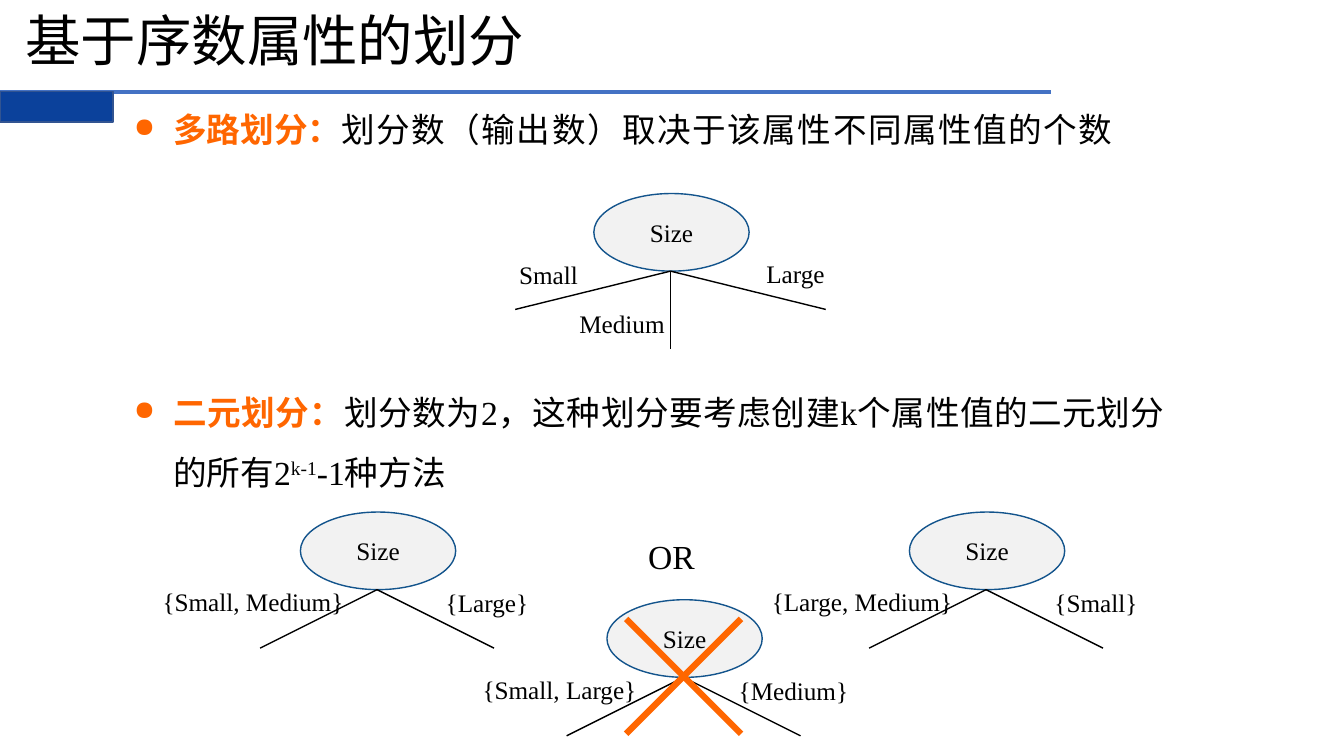
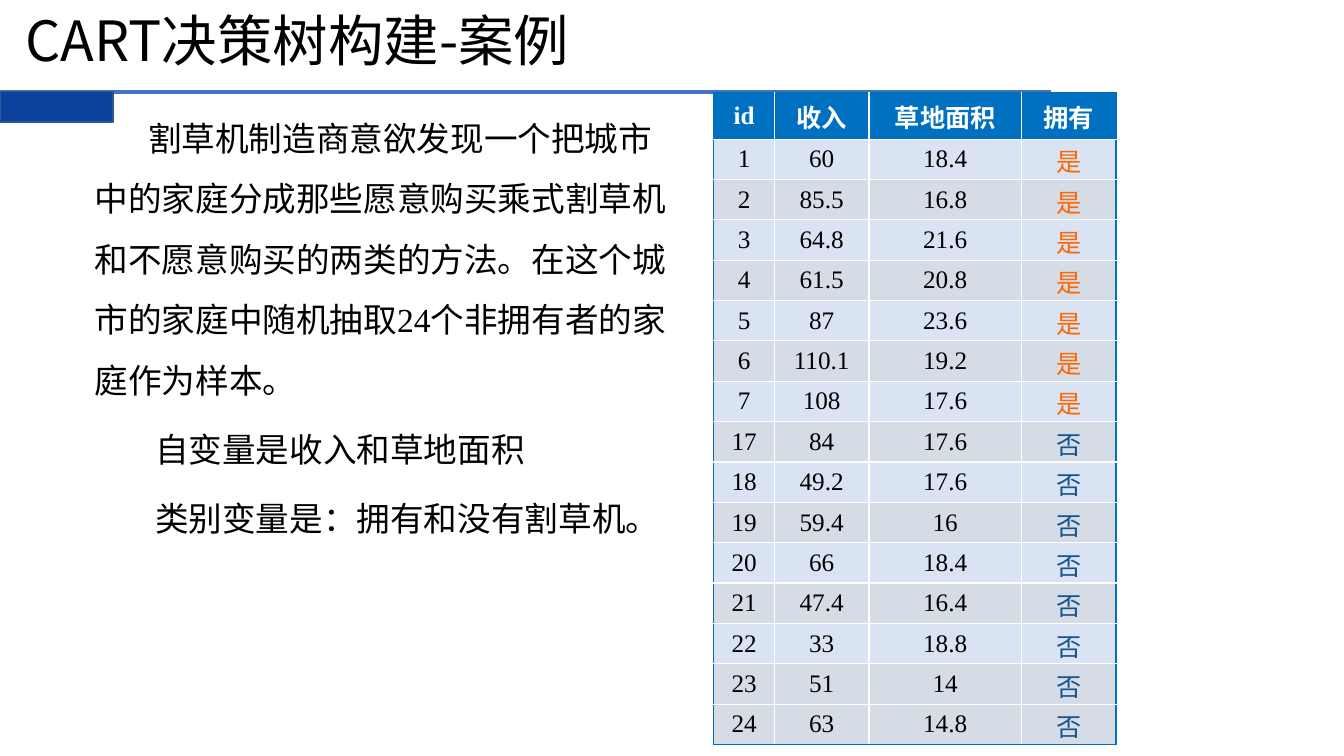
from dataclasses import dataclass

from lxml.etree import SubElement
from pptx import Presentation
from pptx.dml.color import RGBColor
from pptx.enum.shapes import MSO_CONNECTOR, MSO_SHAPE
from pptx.enum.text import MSO_ANCHOR, PP_ALIGN
from pptx.oxml.ns import qn
from pptx.util import Inches, Pt


@dataclass(frozen=True)
class Theme:
    ink: str = "000000"
    white: str = "FFFFFF"
    rule: str = "4472C4"
    band: str = "0B419B"
    rim: str = "325491"
    hot: str = "FF6600"
    cool: str = "13548C"
    node: str = "F2F2F2"
    head: str = "0070C0"
    odd: str = "DAE3F3"
    even: str = "D6DCE5"
    serif: str = "Times New Roman"
    sans: str = "Noto Sans CJK SC"
    title: float = 39.6
    body: float = 24
    small: float = 18
    lead: float = 43.2


def apply(item, values):
    for name, value in values.items():
        setattr(item, name, value)


class Deck:
    def __init__(self, theme):
        self.theme = theme
        self.file = Presentation()
        apply(self.file, {"slide_width": Inches(13.33), "slide_height": Inches(7.5)})
        self.slide = None

    def page(self, title):
        t = self.theme
        self.slide = self.file.slides.add_slide(self.file.slide_layouts[5])
        self.line((0, 0.91), (10.42, 0.91), t.rule, 3)
        self.shape(MSO_SHAPE.RECTANGLE, (0, 0.91, 1.12, 0.3), t.band, t.rim)
        box = self.slide.shapes.title
        left, top, width, height = map(Inches, (0.15, 0.12, 11.5, 0.62))
        apply(box, {"left": left, "top": top, "width": width, "height": height})
        apply(box.text_frame, {"vertical_anchor": MSO_ANCHOR.MIDDLE, "word_wrap": True})
        par = box.text_frame.paragraphs[0]
        apply(par, {"alignment": PP_ALIGN.LEFT, "line_spacing": 0.9})
        self.run(par, title, t.title, face=t.sans)

    def run(self, par, text, size, color=None, bold=False, face=None, extra=None):
        t = self.theme
        run = par.add_run()
        run.text = text
        apply(run.font, {"size": Pt(size), "bold": bold, "name": face or t.serif})
        run.font.color.rgb = RGBColor.from_string(color or t.ink)
        props = run._r.get_or_add_rPr()
        SubElement(props, qn("a:ea")).set("typeface", t.sans)
        for name, value in (extra or {}).items():
            props.set(name, value)

    def line(self, start, end, color, width=1):
        item = self.slide.shapes.add_connector(
            MSO_CONNECTOR.STRAIGHT, *map(Inches, (*start, *end)))
        item.line.color.rgb = RGBColor.from_string(color)
        item.line.width = Pt(width)
        SubElement(item._element.spPr, qn("a:effectLst"))

    def shape(self, kind, place, fill, edge):
        item = self.slide.shapes.add_shape(kind, *map(Inches, place))
        item.shadow.inherit = False
        item.fill.solid()
        item.fill.fore_color.rgb = RGBColor.from_string(fill)
        item.line.color.rgb = RGBColor.from_string(edge)
        item.line.width = Pt(1)
        return item

    def center(self, frame, text, size):
        apply(frame, {"word_wrap": False, "vertical_anchor": MSO_ANCHOR.MIDDLE})
        par = frame.paragraphs[0]
        par.alignment = PP_ALIGN.CENTER
        self.run(par, text, size)

    def label(self, text, mid, top, width, size=None, height=0.4):
        box = self.slide.shapes.add_textbox(
            *map(Inches, (mid - width / 2, top, width, height)))
        self.center(box.text_frame, text, size or self.theme.small)

    def tree(self, left, top, twigs):
        t = self.theme
        side, tall = 1.54, 0.77
        node = self.shape(MSO_SHAPE.OVAL, (left, top, side, tall), t.node, t.cool)
        self.center(node.text_frame, "Size", t.small)
        root = (left + side / 2 - 0.01, top + tall)
        for text, width, (dx, dy), (mid, drop) in twigs:
            self.line(root, (root[0] + dx, root[1] + dy), t.ink)
            self.label(text, left + mid, top + drop, width)

    def split(self, left, top, first, second):
        tips = ((-1.16, 0.58), (1.16, 0.58))
        spots = ((-0.47, 0.69), (1.85, 0.7))
        self.tree(left, top, [(*name, tip, spot) for name, tip, spot
                              in zip((first, second), tips, spots)])

    def cross(self, left, top, side):
        for start, end in ((left + side, left), (left, left + side)):
            self.line((start, top), (end, top + side), self.theme.hot, 4.5)

    def bullet(self, par):
        props = par._p.get_or_add_pPr()
        props.set("marL", str(Inches(0.39)))
        props.set("indent", str(Inches(-0.39)))
        tint = SubElement(props, qn("a:buClr"))
        SubElement(tint, qn("a:srgbClr")).set("val", self.theme.hot)
        SubElement(props, qn("a:buSzPct")).set("val", "80000")
        SubElement(props, qn("a:buChar")).set("char", "●")

    def prose(self, place, items):
        t = self.theme
        frame = self.slide.shapes.add_textbox(*map(Inches, place)).text_frame
        frame.word_wrap = True
        for row, (gap, indent, runs) in enumerate(items):
            par = frame.add_paragraph() if row else frame.paragraphs[0]
            if indent is None:
                self.bullet(par)
                par.alignment = PP_ALIGN.JUSTIFY
            else:
                par._p.get_or_add_pPr().set("indent", str(Inches(indent)))
            apply(par, {"line_spacing": Pt(t.lead), "space_before": Pt(gap)})
            for text, look in runs:
                self.run(par, text, t.body, **look)

    def cell(self, cell, text, fill, color, bold, edges):
        props = cell._tc.get_or_add_tcPr()
        for side, tint in edges.items():
            edge = SubElement(props, qn("a:ln" + side), w=str(Pt(1)))
            solid = SubElement(edge, qn("a:solidFill"))
            SubElement(solid, qn("a:srgbClr")).set("val", tint)
        cell.fill.solid()
        cell.fill.fore_color.rgb = RGBColor.from_string(fill)
        cell.vertical_anchor = MSO_ANCHOR.MIDDLE
        par = cell.text_frame.paragraphs[0]
        par.alignment = PP_ALIGN.CENTER
        self.run(par, text, self.theme.small, color, bold)

    def table(self, left, top, widths, head, rows):
        t = self.theme
        data = [head, *rows]
        last, end = len(data) - 1, len(head) - 1
        high = [0.46] + [0.4] * last
        grid = self.slide.shapes.add_table(
            len(data), len(head),
            *map(Inches, (left, top, sum(widths), sum(high)))).table
        apply(grid, {"first_row": False, "horz_banding": False})
        for col, width in zip(grid.columns, widths):
            col.width = Inches(width)
        for r, (line, tall) in enumerate(zip(data, high)):
            grid.rows[r].height = Inches(tall)
            fill = t.head if r == 0 else t.odd if r % 2 and r < last else t.even
            for c, text in enumerate(line):
                outer = {"L": c == 0, "R": c == end, "T": r == 0, "B": r == last}
                edges = {s: t.head if on else t.white for s, on in outer.items()}
                tint = t.white if r == 0 else {"是": t.hot, "否": t.cool}.get(text, t.ink)
                cell = grid.cell(r, c)
                self.cell(cell, text, fill, tint, r == 0, edges)
                if r and c == end:
                    apply(cell, {"margin_top": Inches(0.03), "margin_bottom": 0})


def main():
    theme = Theme()
    deck = Deck(theme)
    key = {"color": theme.hot, "bold": True}

    deck.page("基于序数属性的划分")
    deck.prose((1.23, 0.83, 10.42, 4.09), [
        (0, None, [("多路划分：", key),
                   ("划分数（输出数）取决于该属性不同属性值的个数", {"extra": {"spc": "110"}})]),
        (159, None, [("二元划分：", key),
                     ("划分数为2，这种划分要考虑创建k个属性值的二元划分的所有2", {}),
                     ("k-1", {"extra": {"baseline": "30000"}}),
                     ("-1种方法", {})]),
    ])
    deck.tree(5.89, 1.92, [
        ("Small", 0.79, (-1.54, 0.38), (-0.45, 0.6)),
        ("Medium", 1.06, (0, 0.77), (0.28, 1.09)),
        ("Large", 0.79, (1.54, 0.38), (2, 0.59)),
    ])
    deck.label("OR", 6.66, 5.27, 0.66, theme.body, 0.5)
    for left, top, first, second in (
        (2.98, 5.08, ("{Small, Medium}", 2.01), ("{Large}", 1.03)),
        (6.02, 5.95, ("{Small, Large}", 1.74), ("{Medium}", 1.3)),
        (9.02, 5.08, ("{Large, Medium}", 2.01), ("{Small}", 1.03)),
    ):
        deck.split(left, top, first, second)
    deck.cross(6.21, 6.14, 1.14)

    deck.page("CART决策树构建-案例")
    deck.prose((0.84, 0.92, 6.01, 4.44), [
        (0, 0.53, [("割草机制造商意欲发现一个把城市中的家庭分成那些愿意购买乘式割草机"
                    "和不愿意购买的两类的方法。在这个城市的家庭中随机抽取24个非拥有者的"
                    "家庭作为样本。", {})]),
        (6, 0.6, [("自变量是收入和草地面积", {})]),
        (6, 0.6, [("类别变量是：拥有和没有割草机。", {})]),
    ])
    deck.table(7.08, 0.92, (0.6, 0.94, 1.51, 0.94), ("id", "收入", "草地面积", "拥有"), [
        ("1", "60", "18.4", "是"),
        ("2", "85.5", "16.8", "是"),
        ("3", "64.8", "21.6", "是"),
        ("4", "61.5", "20.8", "是"),
        ("5", "87", "23.6", "是"),
        ("6", "110.1", "19.2", "是"),
        ("7", "108", "17.6", "是"),
        ("17", "84", "17.6", "否"),
        ("18", "49.2", "17.6", "否"),
        ("19", "59.4", "16", "否"),
        ("20", "66", "18.4", "否"),
        ("21", "47.4", "16.4", "否"),
        ("22", "33", "18.8", "否"),
        ("23", "51", "14", "否"),
        ("24", "63", "14.8", "否"),
    ])
    deck.file.save("out.pptx")


if __name__ == "__main__":
    main()
